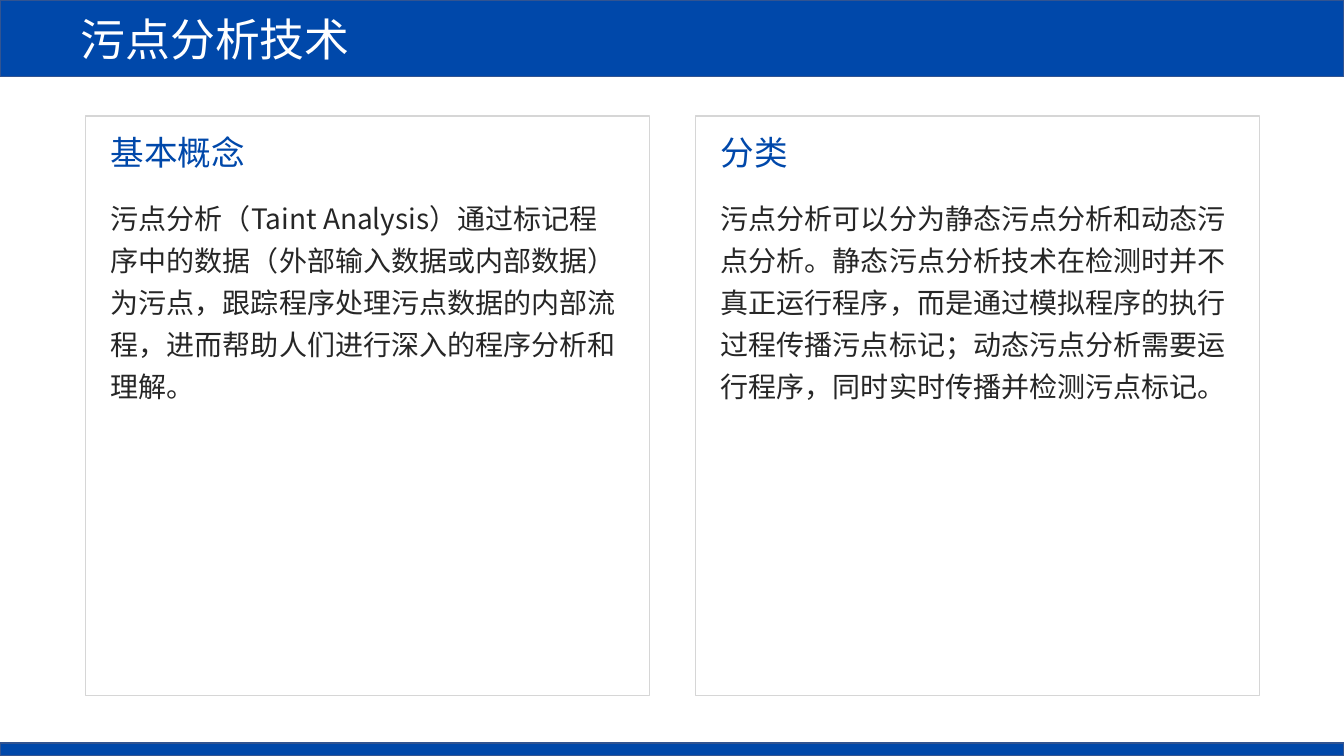
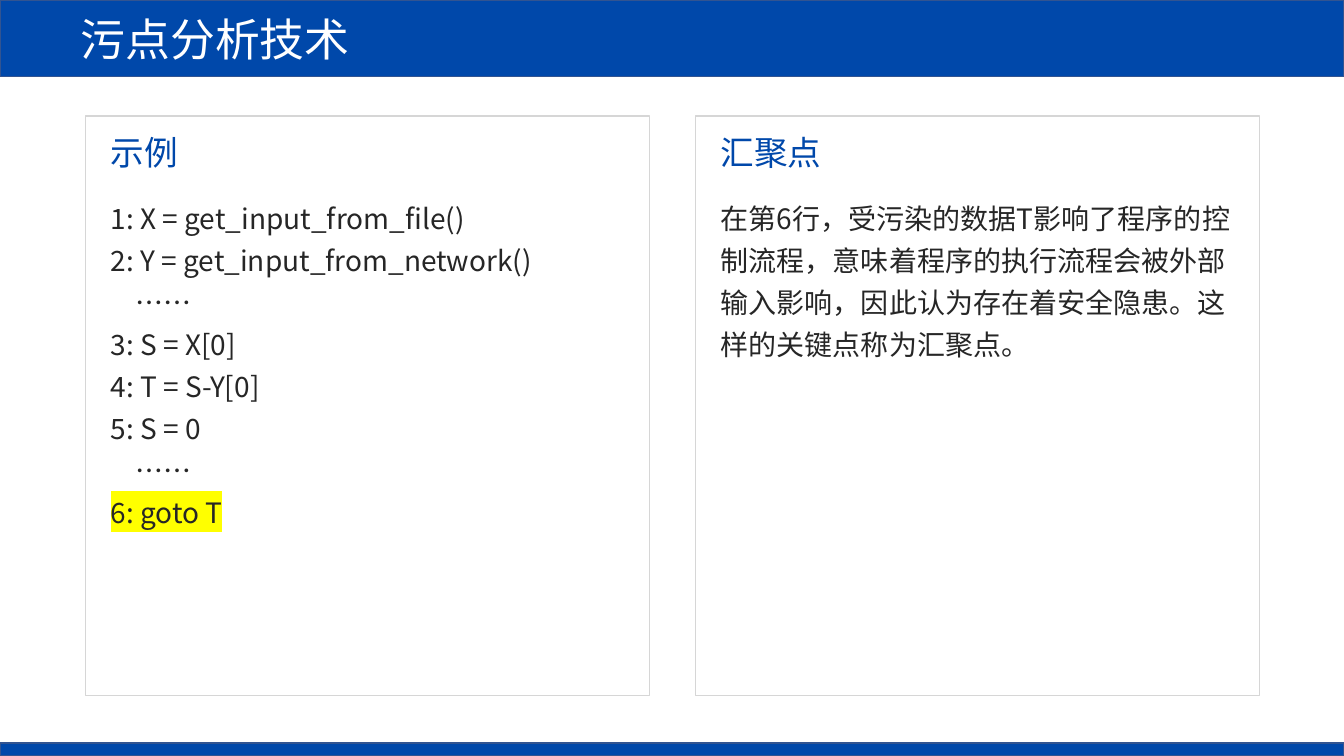
import pptx
import pptx.dml.color
import pptx.enum.lang
import pptx.enum.shapes
import pptx.enum.text
import pptx.oxml.ns
import pptx.util
from lxml import etree

Inches = pptx.util.Inches
Pt = pptx.util.Pt

SLIDE_WIDTH, SLIDE_HEIGHT = 13.33, 7.5
FONT = "Noto Sans CJK SC"
COLORS = {
    "band": "0048AA",
    "band_line": "325491",
    "panel_line": "D6D6D6",
    "title": "FFFFFF",
    "body": "262626",
    "highlight": "FFFF00",
}
TITLE = "污点分析技术"
PANEL_LEFTS = (0.85, 6.9)
PANEL_TOP, PANEL_WIDTH, PANEL_HEIGHT = 1.15, 5.59, 5.75
PANEL_PADDING = 0.15

# Each slide has two panels: heading, body lines, highlighted lines.
SLIDES = [
    [
        ("基本概念",
         ["污点分析（Taint Analysis）通过标记程序中的数据（外部输入数据或内部数据）"
          "为污点，跟踪程序处理污点数据的内部流程，进而帮助人们进行深入的程序分析和理解。"],
         ()),
        ("分类",
         ["污点分析可以分为静态污点分析和动态污点分析。静态污点分析技术在检测时并不"
          "真正运行程序，而是通过模拟程序的执行过程传播污点标记；动态污点分析需要运行程序，"
          "同时实时传播并检测污点标记。"],
         ()),
    ],
    [
        ("示例",
         ["1: X = get_input_from_file()",
          "2: Y = get_input_from_network()",
          "    ……",
          "3: S = X[0]",
          "4: T = S-Y[0]",
          "5: S = 0",
          "    ……",
          "6: goto T"],
         ("6: goto T",)),
        ("汇聚点",
         ["在第6行，受污染的数据T影响了程序的控制流程，意味着程序的执行流程会被外部输入影响，"
          "因此认为存在着安全隐患。这样的关键点称为汇聚点。"],
         ()),
    ],
]


def rgb(name):
    return pptx.dml.color.RGBColor.from_string(COLORS[name])


def add_run(paragraph, text, size, color, highlighted=False):
    run = paragraph.add_run()
    run.text = text
    properties = run.font._element
    if highlighted:
        highlight = etree.SubElement(properties, pptx.oxml.ns.qn("a:highlight"))
        etree.SubElement(highlight, pptx.oxml.ns.qn("a:srgbClr"), val=COLORS["highlight"])
    run.font.size = Pt(size)
    run.font.color.rgb = rgb(color)
    run.font.name = FONT
    run.font.language_id = pptx.enum.lang.MSO_LANGUAGE_ID.SIMPLIFIED_CHINESE
    etree.SubElement(properties, pptx.oxml.ns.qn("a:ea"), typeface=FONT)


def add_rectangle(slide, left, top, width, height, line, fill=None):
    rectangle = slide.shapes.add_shape(
        pptx.enum.shapes.MSO_SHAPE.RECTANGLE,
        Inches(left), Inches(top), Inches(width), Inches(height))
    rectangle.shadow.inherit = False
    if fill:
        rectangle.fill.solid()
        rectangle.fill.fore_color.rgb = rgb(fill)
    else:
        rectangle.fill.background()
    rectangle.line.color.rgb = rgb(line)
    rectangle.line.width = Pt(1)
    return rectangle


def add_text(slide, left, top, width, height, lines, size, color,
             spacing=None, highlighted=()):
    frame = slide.shapes.add_textbox(
        Inches(left), Inches(top), Inches(width), Inches(height)).text_frame
    frame.word_wrap = True
    for index, line in enumerate(lines):
        paragraph = frame.add_paragraph() if index else frame.paragraphs[0]
        paragraph.line_spacing = spacing
        add_run(paragraph, line, size, color, line in highlighted)


def add_bands(slide, title):
    """Draw the title band and the thin band at the foot."""
    header = add_rectangle(slide, 0, 0, SLIDE_WIDTH, 0.76, "band_line", "band")
    frame = header.text_frame
    frame.margin_left = Inches(0.8)
    frame.vertical_anchor = pptx.enum.text.MSO_ANCHOR.MIDDLE
    frame.paragraphs[0].alignment = pptx.enum.text.PP_ALIGN.LEFT
    add_run(frame.paragraphs[0], title, 32, "title")
    add_rectangle(slide, 0, SLIDE_HEIGHT - 0.13, SLIDE_WIDTH, 0.13, "band_line", "band")


def add_panel(slide, left, top, width, height, heading, lines, highlighted):
    add_rectangle(slide, left, top, width, height, "panel_line")
    text_left = left + PANEL_PADDING
    text_width = width - 2 * PANEL_PADDING
    add_text(slide, text_left, top + 0.11, text_width, 0.5, [heading], 24, "band")
    add_text(slide, text_left, top + 0.72, text_width, height - 0.87, lines, 20, "body",
             spacing=1.25, highlighted=highlighted)


def add_two_panel_slide(presentation, panels):
    slide = presentation.slides.add_slide(presentation.slide_layouts[6])
    add_bands(slide, TITLE)
    for left, (heading, lines, highlighted) in zip(PANEL_LEFTS, panels):
        add_panel(slide, left, PANEL_TOP, PANEL_WIDTH, PANEL_HEIGHT,
                  heading, lines, highlighted)


def main():
    presentation = pptx.Presentation()
    presentation.slide_width = Inches(SLIDE_WIDTH)
    presentation.slide_height = Inches(SLIDE_HEIGHT)
    for panels in SLIDES:
        add_two_panel_slide(presentation, panels)
    presentation.save("out.pptx")


if __name__ == "__main__":
    main()
